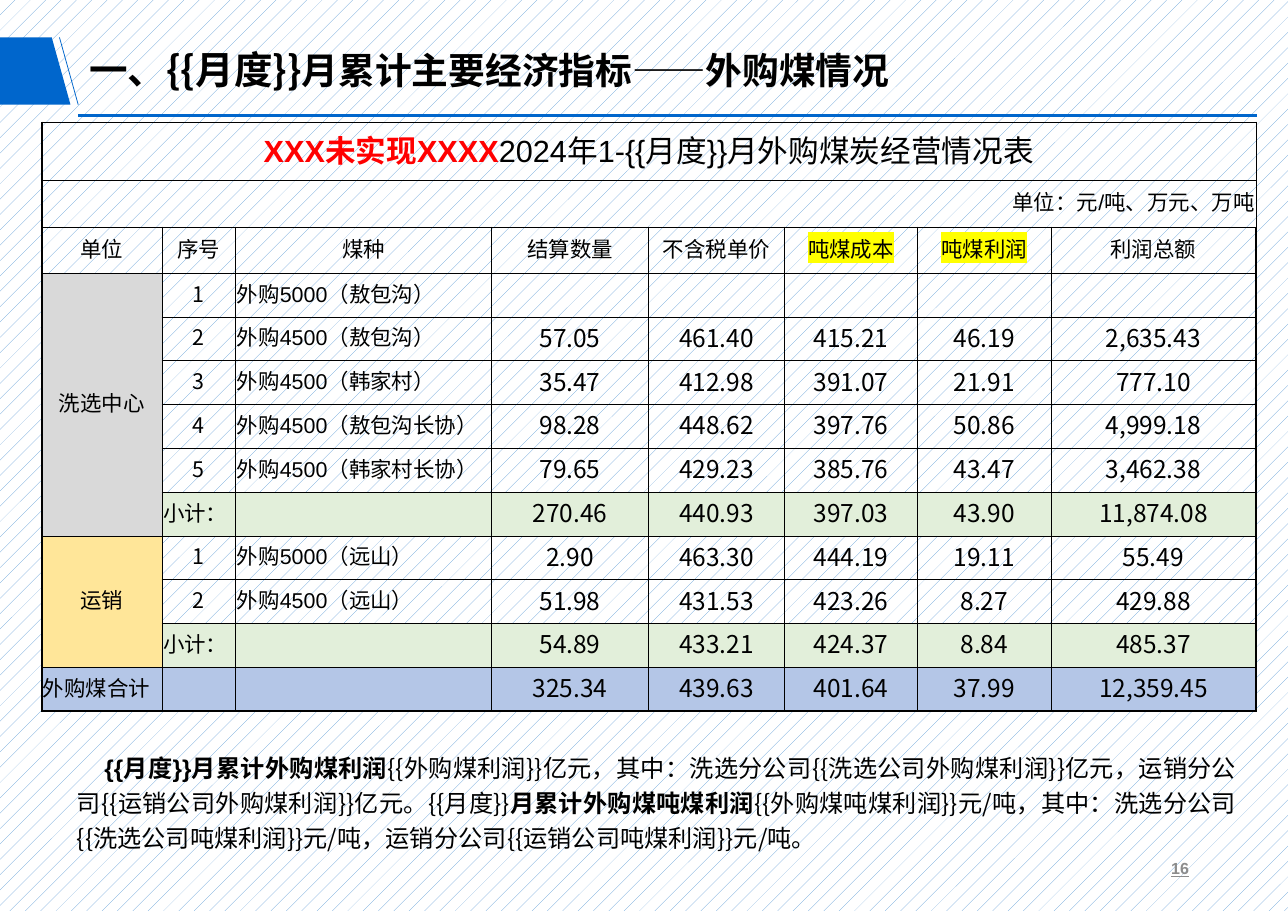
from lxml import etree
from pptx import Presentation, util as u
from pptx.dml.color import RGBColor
from pptx.enum import dml, shapes, text
from pptx.oxml.ns import qn

LATIN, CJK = "Arial", "Noto Sans CJK SC"
LEFT, CENTER = text.PP_ALIGN.LEFT, text.PP_ALIGN.CENTER
RIGHT, JUSTIFY = text.PP_ALIGN.RIGHT, text.PP_ALIGN.JUSTIFY

BLACK = RGBColor(0x00, 0x00, 0x00)
WHITE = RGBColor(0xFF, 0xFF, 0xFF)
BLUE = RGBColor(0x00, 0x66, 0xCC)
HATCH = RGBColor(0x5B, 0x9B, 0xD5)
RED = RGBColor(0xFF, 0x00, 0x00)
GRAY = RGBColor(0x8C, 0x8C, 0x8C)
YELLOW = RGBColor(0xFF, 0xFF, 0x00)
WASHING_FILL = RGBColor(0xD9, 0xD9, 0xD9)
SALES_FILL = RGBColor(0xFF, 0xE6, 0x99)
SUBTOTAL_FILL = RGBColor(0xE2, 0xEF, 0xDA)
TOTAL_FILL = RGBColor(0xB4, 0xC6, 0xE7)

COLUMNS = [1.09, 0.67, 2.32, 1.43, 1.23, 1.21, 1.21, 1.86]
HEAD_ROWS = [0.53, 0.42, 0.42]
TABLE_HEIGHT = 5.35
HEADINGS = ["单位", "序号", "煤种", "结算数量", "不含税单价", "吨煤成本", "吨煤利润", "利润总额"]
HIGHLIGHTED = {"吨煤成本", "吨煤利润"}
SUBTOTAL = "小计："
RECORDS = [
    ["洗选中心", "1", "外购5000（敖包沟）", "", "", "", "", ""],
    ["", "2", "外购4500（敖包沟）", "57.05", "461.40", "415.21", "46.19", "2,635.43"],
    ["", "3", "外购4500（韩家村）", "35.47", "412.98", "391.07", "21.91", "777.10"],
    ["", "4", "外购4500（敖包沟长协）", "98.28", "448.62", "397.76", "50.86", "4,999.18"],
    ["", "5", "外购4500（韩家村长协）", "79.65", "429.23", "385.76", "43.47", "3,462.38"],
    ["", SUBTOTAL, "", "270.46", "440.93", "397.03", "43.90", "11,874.08"],
    ["运销", "1", "外购5000（远山）", "2.90", "463.30", "444.19", "19.11", "55.49"],
    ["", "2", "外购4500（远山）", "51.98", "431.53", "423.26", "8.27", "429.88"],
    ["", SUBTOTAL, "", "54.89", "433.21", "424.37", "8.84", "485.37"],
    ["外购煤合计", "", "", "325.34", "439.63", "401.64", "37.99", "12,359.45"],
]
SUMMARY = [
    ("{{月度}}月累计外购煤利润", True),
    ("{{外购煤利润}}亿元，其中：洗选分公司{{洗选公司外购煤利润}}亿元，"
     "运销分公司{{运销公司外购煤利润}}亿元。{{月度}}", False),
    ("月累计外购煤吨煤利润", True),
    ("{{外购煤吨煤利润}}元/吨，其中：洗选分公司{{洗选公司吨煤利润}}元/吨，"
     "运销分公司{{运销公司吨煤利润}}元/吨。", False),
]


def style(para, size=None, name=LATIN, color=BLACK, bold=None, align=LEFT):
    para.alignment = align
    font = para.font
    font.name = name
    font.bold = bold
    if size:
        font.size = u.Pt(size)
    if color is not None:
        font.color.rgb = color
    for props in para._p.iter(qn("a:defRPr")):
        etree.SubElement(props, qn("a:ea"), typeface=CJK)


def add_span(para, words):
    span = para.add_run()
    span.text = words
    return span


def highlight(span):
    mark = etree.SubElement(span._r.get_or_add_rPr(), qn("a:highlight"))
    etree.SubElement(mark, qn("a:srgbClr"), val=str(YELLOW))


def add_box(page, left, top, width, height, anchor):
    box = page.shapes.add_textbox(*map(u.Inches, (left, top, width, height)))
    box.text_frame.word_wrap = True
    box.text_frame.vertical_anchor = anchor
    return box.text_frame.paragraphs[0]


def add_line(page, left, top, right, bottom, width):
    ends = map(u.Inches, (left, top, right, bottom))
    line = page.shapes.add_connector(shapes.MSO_CONNECTOR.STRAIGHT, *ends)
    line.line.color.rgb = BLUE
    line.line.width = u.Pt(width)
    etree.SubElement(line._element.spPr, qn("a:effectLst"))


def add_banner(page):
    corners = [(u.Inches(x), u.Inches(y)) for x, y in [(0, 0.34), (0.47, 0.34), (0.64, 0.95), (0, 0.95)]]
    builder = page.shapes.build_freeform(*corners[0])
    builder.add_line_segments(corners[1:], close=True)
    flag = builder.convert_to_shape()
    flag.shadow.inherit = False
    flag.fill.solid()
    flag.fill.fore_color.rgb = BLUE
    flag.line.fill.background()
    add_line(page, 0.54, 0.34, 0.71, 0.95, 0.5)
    add_line(page, 0.71, 1.05, 11.41, 1.05, 2.25)


def format_title(page):
    title = page.shapes.title
    title.left, title.top = u.Inches(0.71), u.Inches(0.36)
    title.width, title.height = u.Inches(7.55), u.Inches(0.59)
    frame = title.text_frame
    frame.word_wrap = True
    frame.auto_size = text.MSO_AUTO_SIZE.NONE
    frame.vertical_anchor = text.MSO_ANCHOR.MIDDLE
    para = frame.paragraphs[0]
    para.line_spacing = 0.9
    for words, size in [("一、{{月度}}", 25.2), ("月累计主要经济指标——外购煤情况", 24)]:
        add_span(para, words).font.size = u.Pt(size)
    style(para, name=CJK, bold=True)


def set_borders(cell, widths):
    props = cell._tc.get_or_add_tcPr()
    for side, width in zip("LRTB", widths):
        edge = etree.SubElement(props, qn(f"a:ln{side}"), w=str(u.Pt(width)))
        fill = etree.SubElement(edge, qn("a:solidFill"))
        etree.SubElement(fill, qn("a:srgbClr"), val=str(BLACK))


def record_fill(record, column):
    if record[0] == "外购煤合计":
        return TOTAL_FILL
    if column == 0:
        return {"洗选中心": WASHING_FILL, "运销": SALES_FILL}.get(record[0])
    return SUBTOTAL_FILL if record[1] == SUBTOTAL else None


def format_cell(cell, fill, borders):
    set_borders(cell, borders)
    cell.margin_left = cell.margin_top = cell.margin_right = u.Inches(0.01)
    cell.margin_bottom = u.Inches(0.05)
    cell.vertical_anchor = text.MSO_ANCHOR.MIDDLE
    if fill is None:
        cell.fill.background()
    else:
        cell.fill.solid()
        cell.fill.fore_color.rgb = fill


def write_record_cell(para, words, column):
    if not words:
        return
    add_span(para, words)
    if column > 2:
        style(para, 16, CJK, align=CENTER)
    elif words.isdigit():
        style(para, 14, CJK, align=CENTER)
    else:
        style(para, 14, align=CENTER if words in ("洗选中心", "运销") else LEFT)


def add_coal_table(page):
    rows, columns = len(HEAD_ROWS) + len(RECORDS), len(COLUMNS)
    place = map(u.Inches, (0.38, 1.11, sum(COLUMNS), TABLE_HEIGHT))
    table = page.shapes.add_table(rows, columns, *place).table
    table.first_row = table.horz_banding = False
    for column, width in zip(table.columns, COLUMNS):
        column.width = u.Inches(width)
    record_height = (TABLE_HEIGHT - sum(HEAD_ROWS)) / len(RECORDS)
    for row, height in zip(table.rows, HEAD_ROWS + [record_height] * len(RECORDS)):
        row.height = u.Inches(height)

    for r in range(rows):
        for c in range(columns):
            outer = (c == 0, c == columns - 1, r == 0, r == rows - 1)
            fill = record_fill(RECORDS[r - 3], c) if r > 2 else None
            format_cell(table.cell(r, c), fill, [1 if edge else 0.5 for edge in outer])
    for first, last in [((0, 0), (0, 7)), ((1, 0), (1, 7)), ((3, 0), (8, 0)), ((9, 0), (11, 0))]:
        table.cell(*first).merge(table.cell(*last))

    para = table.cell(0, 0).text_frame.paragraphs[0]
    warning = add_span(para, "XXX未实现XXXX")
    warning.font.bold = True
    warning.font.color.rgb = RED
    add_span(para, "2024年1-{{月度}}月外购煤炭经营情况表")
    style(para, 20, align=CENTER)
    para = table.cell(1, 0).text_frame.paragraphs[0]
    add_span(para, "单位：元/吨、万元、万吨")
    style(para, 14, align=RIGHT)
    for c, heading in enumerate(HEADINGS):
        para = table.cell(2, c).text_frame.paragraphs[0]
        span = add_span(para, heading)
        if heading in HIGHLIGHTED:
            highlight(span)
        style(para, 14, align=CENTER)
    for r, record in enumerate(RECORDS, len(HEAD_ROWS)):
        for c, words in enumerate(record):
            write_record_cell(table.cell(r, c).text_frame.paragraphs[0], words, c)


def add_summary(page):
    para = add_box(page, 0.6, 6.74, 10.72, 0.93, text.MSO_ANCHOR.TOP)
    para.line_spacing = 1.2
    para._p.get_or_add_pPr().set("indent", str(u.Inches(0.25)))
    for words, bold in SUMMARY:
        span = add_span(para, words)
        span.font.bold = bold
        span.font.name = LATIN if bold else CJK
    style(para, 15.8, align=JUSTIFY)


def add_page_number(page):
    para = add_box(page, 8.26, 7.66, 2.63, 0.44, text.MSO_ANCHOR.MIDDLE)
    add_span(para, "16")
    style(para, 10.5, color=GRAY, bold=True, align=RIGHT)
    para.font.underline = True


def main():
    deck = Presentation()
    deck.slide_width, deck.slide_height = u.Inches(11.69), u.Inches(8.27)
    page = deck.slides.add_slide(deck.slide_layouts[5])
    backdrop = page.background.fill
    backdrop.patterned()
    backdrop.pattern = dml.MSO_PATTERN.PERCENT_5
    backdrop.fore_color.rgb = HATCH
    backdrop.back_color.rgb = WHITE
    add_banner(page)
    format_title(page)
    add_page_number(page)
    add_summary(page)
    add_coal_table(page)
    deck.save("out.pptx")


if __name__ == "__main__":
    main()
